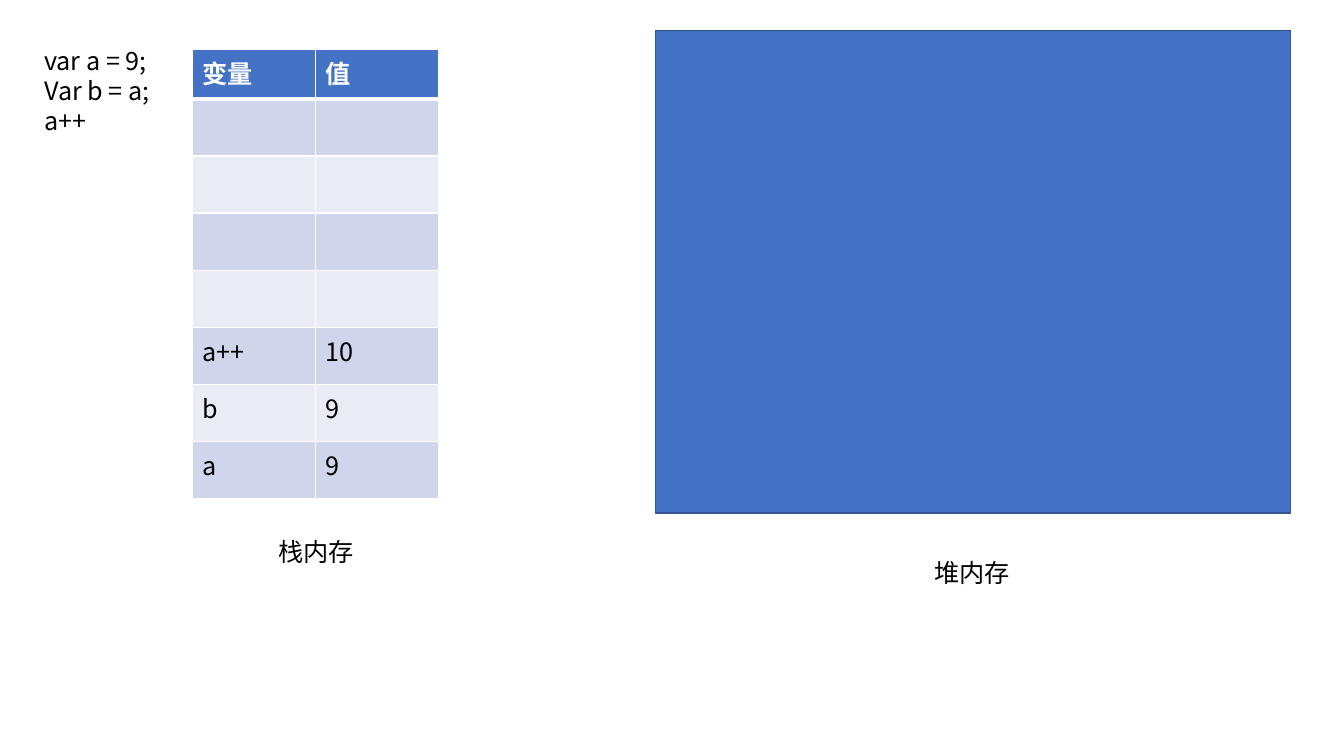
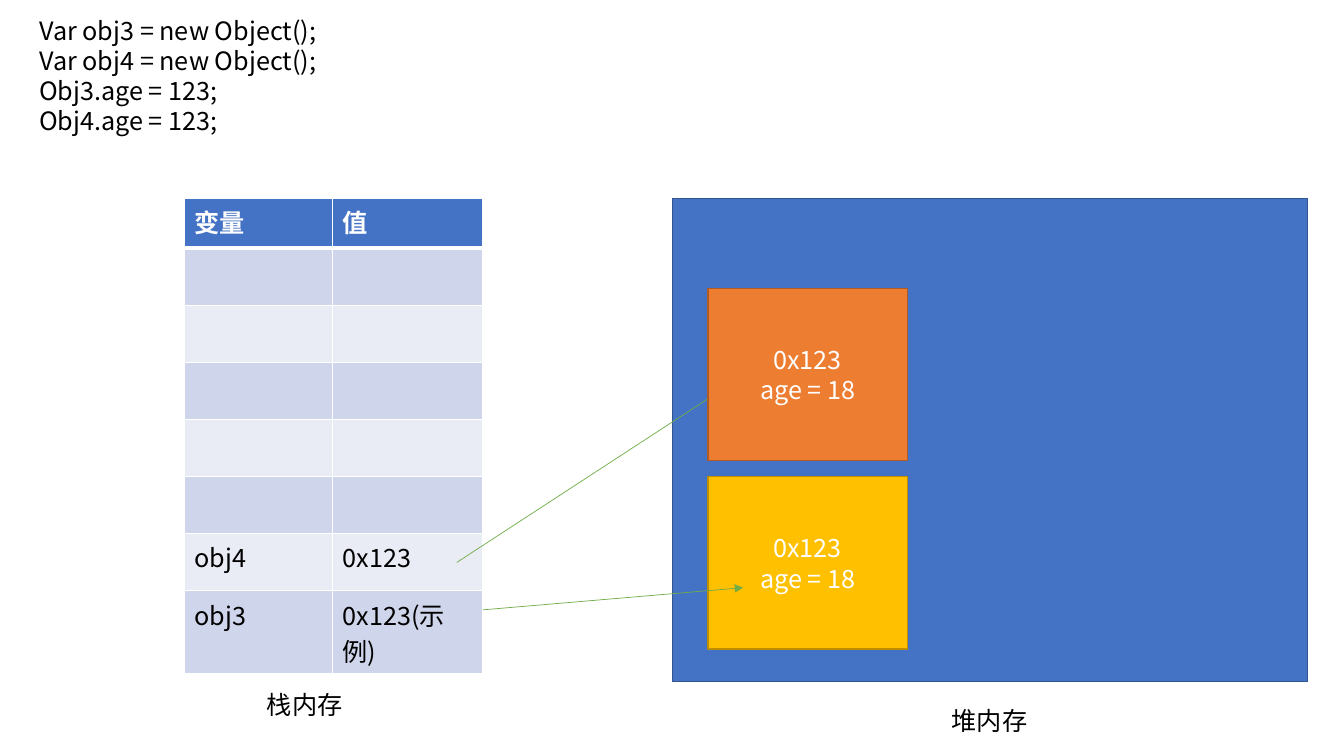
from pptx import Presentation
from pptx.dml.color import RGBColor
from pptx.enum.shapes import MSO_CONNECTOR, MSO_SHAPE
from pptx.enum.text import MSO_ANCHOR, MSO_AUTO_SIZE, PP_ALIGN
from pptx.oxml import parse_xml
from pptx.oxml.ns import nsdecls
from pptx.util import Inches, Pt

WHITE = RGBColor(0xFF, 0xFF, 0xFF)
BLACK = RGBColor(0x00, 0x00, 0x00)
BLUE = RGBColor(0x44, 0x72, 0xC4)
BLUE_EDGE = RGBColor(0x32, 0x54, 0x91)
BANDS = (RGBColor(0xCF, 0xD5, 0xEA), RGBColor(0xE9, 0xEB, 0xF5))
ORANGE = RGBColor(0xED, 0x7D, 0x31)
ORANGE_EDGE = RGBColor(0xAF, 0x5C, 0x24)
GOLD = RGBColor(0xFF, 0xC0, 0x00)
GOLD_EDGE = RGBColor(0xBD, 0x8E, 0x00)
GREEN = RGBColor(0x70, 0xAD, 0x47)
FONT = "Noto Sans CJK SC"

HEADER = ("变量", "值")
STACK_LABEL, HEAP_LABEL = "栈内存", "堆内存"
STACK_ROWS = 8
STACK_H, HEADER_H = 4.46, 0.49
ROW_H = (STACK_H - HEADER_H) / (STACK_ROWS - 1)
TWO_LINE_ROW_H = 0.82
HEAP_W, HEAP_H = 6.3, 4.79
LABEL_W, LABEL_H = 0.96, 0.4
OBJECT_W, OBJECT_H = 1.98, 1.71

VALUE_SLIDE = dict(
    code=["var a = 9;", "Var b = a;", "a++"],
    code_at=(0.34, 0.4, 1.27, 1.01), code_wrap=False,
    variables=[("a++", "10"), ("b", "9"), ("a", "9")],
    stack_at=(1.91, 0.49), columns=(1.22, 1.22), last_row_h=ROW_H,
    stack_label_at=(2.66, 5.27), heap_at=(6.5, 0.3), heap_label_gap=0.39,
)
OBJECT_SLIDE = dict(
    code=["Var obj3 = new Object();", "Var obj4 = new Object();",
          "Obj3.age = 123;", "Obj4.age = 123;"],
    code_at=(0.29, 0.1, 5.91, 1.31), code_wrap=True,
    variables=[("obj4", "0x123"), ("obj3", "0x123(示例)")],
    stack_at=(1.83, 1.97), columns=(1.47, 1.49), last_row_h=TWO_LINE_ROW_H,
    stack_label_at=(2.55, 6.79), heap_at=(6.67, 1.97), heap_label_gap=0.19,
)
OBJECT_TEXT = ["0x123", "age = 18"]
OBJ3_AT, OBJ4_AT = (7.02, 4.73), (7.02, 2.86)
POINTERS = [((4.79, 6.05), (7.37, 5.83)), ((4.53, 5.58), (7.2, 3.84))]


def write(tf, lines, color=BLACK, bold=False, align=None):
    for i, line in enumerate(lines):
        p = tf.paragraphs[0] if i == 0 else tf.add_paragraph()
        p.alignment = align
        r = p.add_run()
        r.text = line
        r.font.name = FONT
        r.font.size = Pt(18)
        r.font.bold = bold
        r.font.color.rgb = color
        r.font._element.append(parse_xml(
            f'<a:ea {nsdecls("a")} typeface="{FONT}"/>'))


def add_text(s, box, lines, wrap=False):
    tf = s.shapes.add_textbox(*map(Inches, box)).text_frame
    tf.word_wrap = wrap
    tf.auto_size = MSO_AUTO_SIZE.SHAPE_TO_FIT_TEXT
    write(tf, lines)


def add_rect(s, box, fill, edge):
    sp = s.shapes.add_shape(MSO_SHAPE.RECTANGLE, *map(Inches, box))
    sp.shadow.inherit = False
    sp.fill.solid()
    sp.fill.fore_color.rgb = fill
    sp.line.color.rgb = edge
    sp.line.width = Pt(1)
    return sp


def add_object(s, at, fill, edge):
    tf = add_rect(s, (*at, OBJECT_W, OBJECT_H), fill, edge).text_frame
    tf.vertical_anchor = MSO_ANCHOR.MIDDLE
    write(tf, OBJECT_TEXT, WHITE, align=PP_ALIGN.CENTER)


def add_pointer(s, start, end):
    line = s.shapes.add_connector(
        MSO_CONNECTOR.STRAIGHT, *map(Inches, (*start, *end)))
    line.line.color.rgb = GREEN
    line.line.width = Pt(0.5)
    line.line._get_or_add_ln().append(parse_xml(
        f'<a:tailEnd {nsdecls("a")} type="triangle"/>'))
    line._element.spPr.append(parse_xml(f'<a:effectLst {nsdecls("a")}/>'))


def set_borders(cell, top, bottom):
    tcPr = cell._tc.get_or_add_tcPr()
    widths = (("lnL", 1), ("lnR", 1), ("lnT", top), ("lnB", bottom))
    for i, (side, width) in enumerate(widths):
        tcPr.insert(i, parse_xml(
            f'<a:{side} {nsdecls("a")} w="{Pt(width)}"><a:solidFill>'
            f'<a:srgbClr val="{WHITE}"/></a:solidFill></a:{side}>'))


def add_stack(s, at, columns, variables, last_row_h):
    blanks = [("", "")] * (STACK_ROWS - 1 - len(variables))
    rows = [HEADER, *blanks, *variables]
    heights = [HEADER_H, *[ROW_H] * (STACK_ROWS - 2), last_row_h]
    table = s.shapes.add_table(STACK_ROWS, len(columns), *map(
        Inches, (*at, sum(columns), sum(heights)))).table
    table.first_row = table.horz_banding = False
    for column, width in zip(table.columns, columns):
        column.width = Inches(width)
    for i, (row, height) in enumerate(zip(rows, heights)):
        header = i == 0
        table.rows[i].height = Inches(height)
        for j, value in enumerate(row):
            cell = table.cell(i, j)
            cell.fill.solid()
            cell.fill.fore_color.rgb = BLUE if header else BANDS[(i - 1) % 2]
            set_borders(cell, 3 if i == 1 else 1, 3 if header else 1)
            if value:
                write(cell.text_frame, [value],
                      WHITE if header else BLACK, bold=header)


def add_memory_slide(prs, code, code_at, code_wrap, variables, stack_at,
                     columns, last_row_h, stack_label_at, heap_at,
                     heap_label_gap):
    s = prs.slides.add_slide(prs.slide_layouts[6])
    add_stack(s, stack_at, columns, variables, last_row_h)
    add_text(s, (*stack_label_at, LABEL_W, LABEL_H), [STACK_LABEL])
    add_rect(s, (*heap_at, HEAP_W, HEAP_H), BLUE, BLUE_EDGE)
    left, top = heap_at
    heap_label_at = (left + (HEAP_W - LABEL_W) / 2,
                     top + HEAP_H + heap_label_gap)
    add_text(s, (*heap_label_at, LABEL_W, LABEL_H), [HEAP_LABEL])
    add_text(s, code_at, code, code_wrap)
    return s


prs = Presentation()
prs.slide_width, prs.slide_height = Inches(13.33), Inches(7.5)
add_memory_slide(prs, **VALUE_SLIDE)
s = add_memory_slide(prs, **OBJECT_SLIDE)
add_object(s, OBJ3_AT, GOLD, GOLD_EDGE)
for start, end in POINTERS:
    add_pointer(s, start, end)
add_object(s, OBJ4_AT, ORANGE, ORANGE_EDGE)
prs.save("out.pptx")
